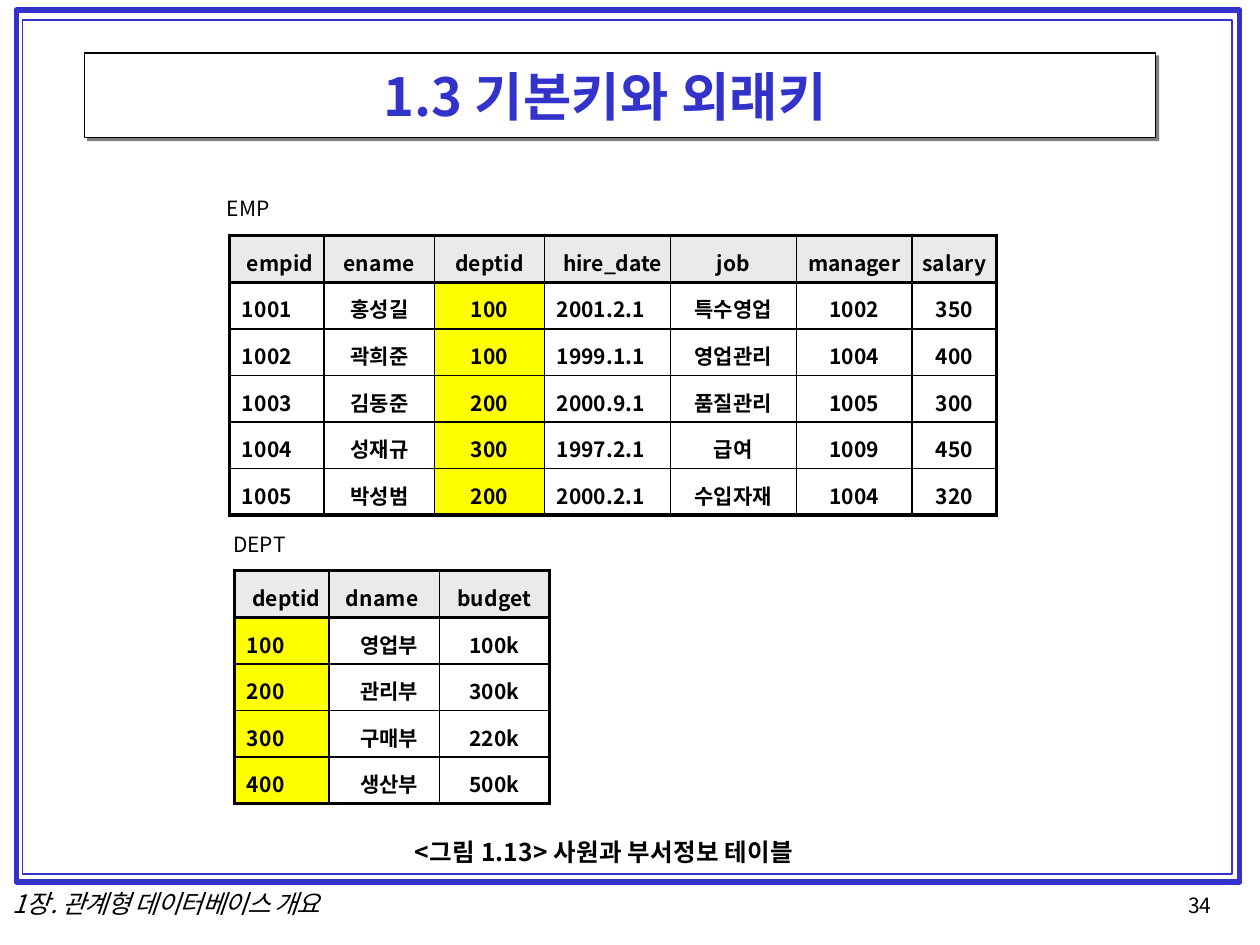
from dataclasses import dataclass

from lxml.etree import SubElement
from pptx import Presentation
from pptx.dml.color import RGBColor
from pptx.enum.shapes import MSO_SHAPE as SHAPE
from pptx.enum.text import MSO_ANCHOR as ANCHOR, PP_ALIGN as ALIGN
from pptx.oxml.ns import qn
from pptx.util import Inches, Pt


@dataclass(frozen=True)
class Theme:
    font: str = "Noto Sans CJK KR"
    blue: str = "3333CC"
    black: str = "000000"
    white: str = "FFFFFF"
    shadow: str = "808080"
    header: str = "EAEAEA"
    key: str = "FFFF00"
    title: float = 30
    footer: float = 14.5
    caption: float = 14
    body: float = 12
    thin: float = 1
    thick: float = 2.25


T = Theme()

# Column rules: alignment, header indent, body indent, right margin
ID = (ALIGN.LEFT, 0.14, 0.1, 0)
DATE = (ALIGN.LEFT, 0.15, 0.1, 0)
MID = (ALIGN.CENTER, 0, 0, 0)
RIGHT = (ALIGN.RIGHT, 0, 0, 0.17)

EMP = [
    ["empid", "ename", "deptid", "hire_date", "job", "manager", "salary"],
    ["1001", "홍성길", "100", "2001.2.1", "특수영업", "1002", "350"],
    ["1002", "곽희준", "100", "1999.1.1", "영업관리", "1004", "400"],
    ["1003", "김동준", "200", "2000.9.1", "품질관리", "1005", "300"],
    ["1004", "성재규", "300", "1997.2.1", "급여", "1009", "450"],
    ["1005", "박성범", "200", "2000.2.1", "수입자재", "1004", "320"],
]
DEPT = [
    ["deptid", "dname", "budget"],
    ["100", "영업부", "100k"],
    ["200", "관리부", "300k"],
    ["300", "구매부", "220k"],
    ["400", "생산부", "500k"],
]


def rgb(color):
    return RGBColor.from_string(color)


def add_run(p, text, size, color=T.black, bold=False, italic=False, spc=0):
    r = p.add_run()
    r.text = text
    f = r.font
    f.name, f.size, f.bold, f.italic = T.font, Pt(size), bold, italic
    f.color.rgb = rgb(color)
    rPr = f._element
    rPr.set("spc", str(round(spc * 100)))
    SubElement(rPr, qn("a:ea")).set("typeface", T.font)


def indent(p, inches):
    p._p.get_or_add_pPr().set("marL", str(Inches(inches)))


def add_text(s, box, runs, size, left=0.01, before=None, line=None, **style):
    """Text box without side margins; runs are (text, letter spacing)."""
    tf = s.shapes.add_textbox(*map(Inches, box)).text_frame
    tf.word_wrap = True
    tf.margin_left = tf.margin_right = tf.margin_bottom = 0
    tf.margin_top = Inches(0.01 if before else 0)
    p = tf.paragraphs[0]
    indent(p, left)
    if before:
        p.space_before = Pt(before)
    if line:
        p.line_spacing = Pt(line)
    for text, spc in runs:
        add_run(p, text, size, spc=spc, **style)


def add_rect(s, box, fill=None, line=None, width=T.thin):
    sp = s.shapes.add_shape(SHAPE.RECTANGLE, *map(Inches, box))
    sp.shadow.inherit = False
    if fill:
        sp.fill.solid()
        sp.fill.fore_color.rgb = rgb(fill)
    else:
        sp.fill.background()
    if line:
        sp.line.color.rgb = rgb(line)
        sp.line.width = Pt(width)
    else:
        sp.line.fill.background()


def add_border(cell, side, width):
    ln = SubElement(cell._tc.get_or_add_tcPr(), qn(f"a:ln{side}"), w=str(Pt(width)))
    fill = SubElement(ln, qn("a:solidFill"))
    SubElement(fill, qn("a:srgbClr")).set("val", T.black)


def add_frame(s):
    add_rect(s, (0.13, 0.08, 9.71, 6.92), line=T.blue, width=3)
    add_rect(s, (0.18, 0.16, 9.6, 6.78), line=T.blue)


def add_title(s, x, y, w, h):
    # Hard offset shadow, then the panel over it
    add_rect(s, (x + 0.02, y + 0.02, w + 0.01, h + 0.01), fill=T.shadow)
    add_rect(s, (x, y, w, h), fill=T.white, line=T.black, width=0.75)
    add_text(s, (x, y + 0.08, w, 0.53),
             [("1.3 ", 0.1), ("기본키와 ", 0.2), ("외래키", 0.1)],
             T.title, left=2.37, before=1, color=T.blue, bold=True)


def add_grid(s, x, y, rows, widths, columns, key, row_h=0.37):
    """Data table with a heavy outline and header, and one key column marked."""
    nr, nc = len(rows), len(widths)
    tbl = s.shapes.add_table(nr, nc, Inches(x), Inches(y),
                             Inches(sum(widths)), Inches(row_h * nr)).table
    tbl.first_row = tbl.horz_banding = False
    for col, w in zip(tbl.columns, widths):
        col.width = Inches(w)
    for i, row in enumerate(rows):
        tbl.rows[i].height = Inches(row_h)
        for j, text in enumerate(row):
            align, head_left, body_left, right = columns[j]
            cell = tbl.cell(i, j)
            cell.margin_left = cell.margin_bottom = 0
            cell.margin_top, cell.margin_right = Inches(0.09), Inches(right)
            cell.vertical_anchor = ANCHOR.TOP
            heavy = {"L": j == 0, "R": j == nc - 1,
                     "T": i <= 1, "B": i in (0, nr - 1)}
            for side, is_heavy in heavy.items():
                add_border(cell, side, T.thick if is_heavy else T.thin)
            color = T.header if i == 0 else T.key if j == key else None
            if color:
                cell.fill.solid()
                cell.fill.fore_color.rgb = rgb(color)
            else:
                cell.fill.background()
            p = cell.text_frame.paragraphs[0]
            p.alignment, p.space_before = align, Pt(6.5)
            indent(p, body_left if i else head_left)
            spc = 0 if columns[j] is DATE or text == "manager" else 0.1
            add_run(p, text, T.body, bold=True, spc=spc)


def add_footer(s, y):
    add_text(s, (0.09, y, 2.74, 0.23),
             [("1장. ", -0.3), ("관계형 데이터베이스 개요", -0.5)],
             T.footer, line=16.6, italic=True)
    add_text(s, (9.39, y + 0.03, 0.29, 0.19), [("34", 0)],
             T.body, left=0.04, line=13.7)


def main():
    prs = Presentation()
    prs.slide_width, prs.slide_height = Inches(10), Inches(7.5)
    s = prs.slides.add_slide(prs.slide_layouts[6])
    add_frame(s)
    add_title(s, 0.67, 0.42, 8.5, 0.67)
    # Employee table
    add_grid(s, 1.82, 1.87, EMP, [0.75, 0.88, 0.87, 1, 1, 0.92, 0.67],
             [ID, MID, MID, DATE, MID, MID, MID], key=2)
    add_text(s, (1.79, 1.54, 0.37, 0.23),
             [("E", 0), ("M", -0.1), ("P", 0)], T.body, before=1)
    # Department table
    add_grid(s, 1.86, 4.53, DEPT, [0.75, 0.88, 0.87], [ID, RIGHT, MID], key=0)
    add_text(s, (1.84, 4.21, 0.46, 0.23),
             [("DE", 0), ("P", 0.1), ("T", 0)], T.body, before=1)
    # Caption and footer
    add_text(s, (3.28, 6.63, 3.23, 0.26),
             [("<그림 ", 0.2), ("1.13> 사원과 부서정보 테이블", 0.1)],
             T.caption, before=1, bold=True)
    add_footer(s, 7.06)
    prs.save("out.pptx")


if __name__ == "__main__":
    main()
